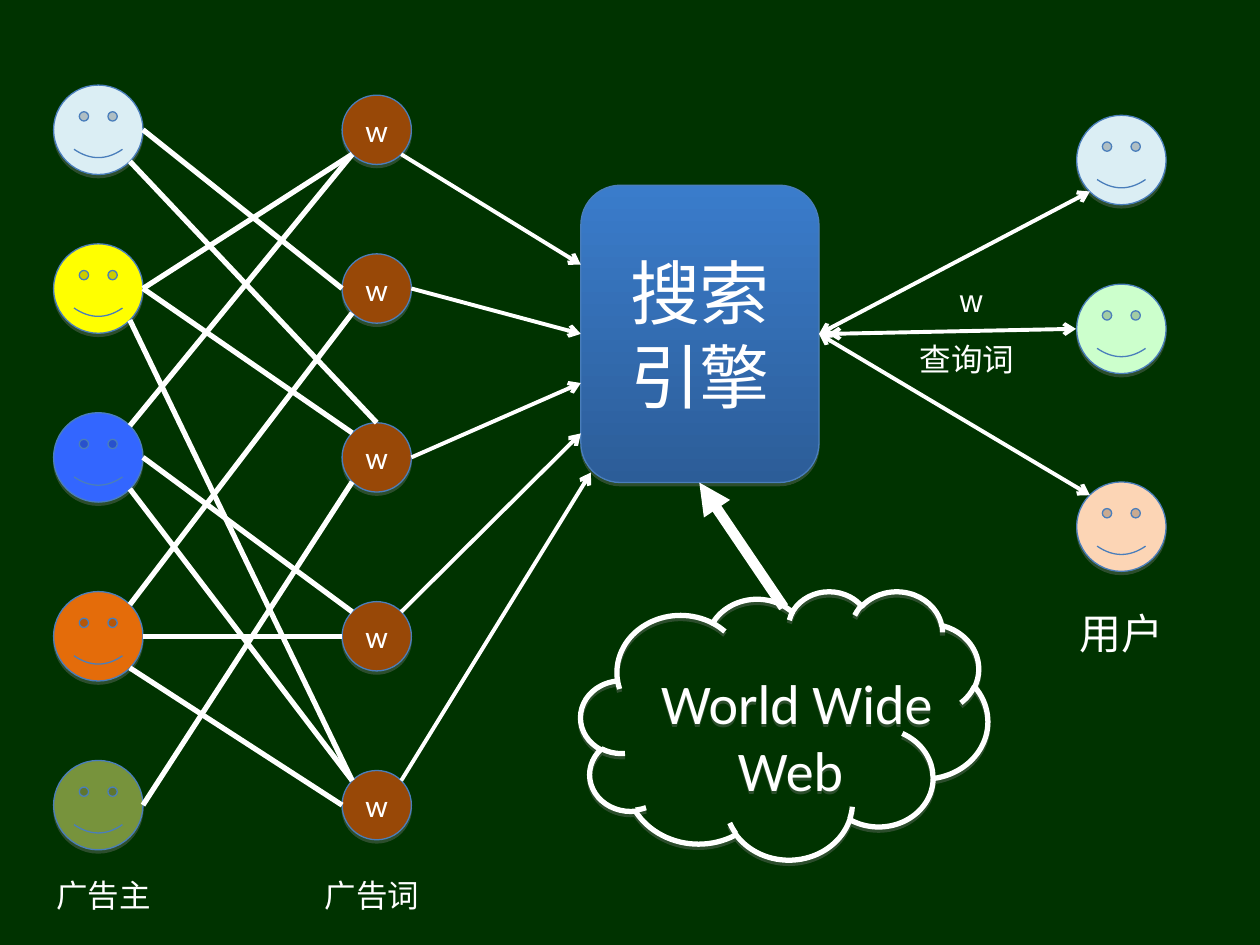
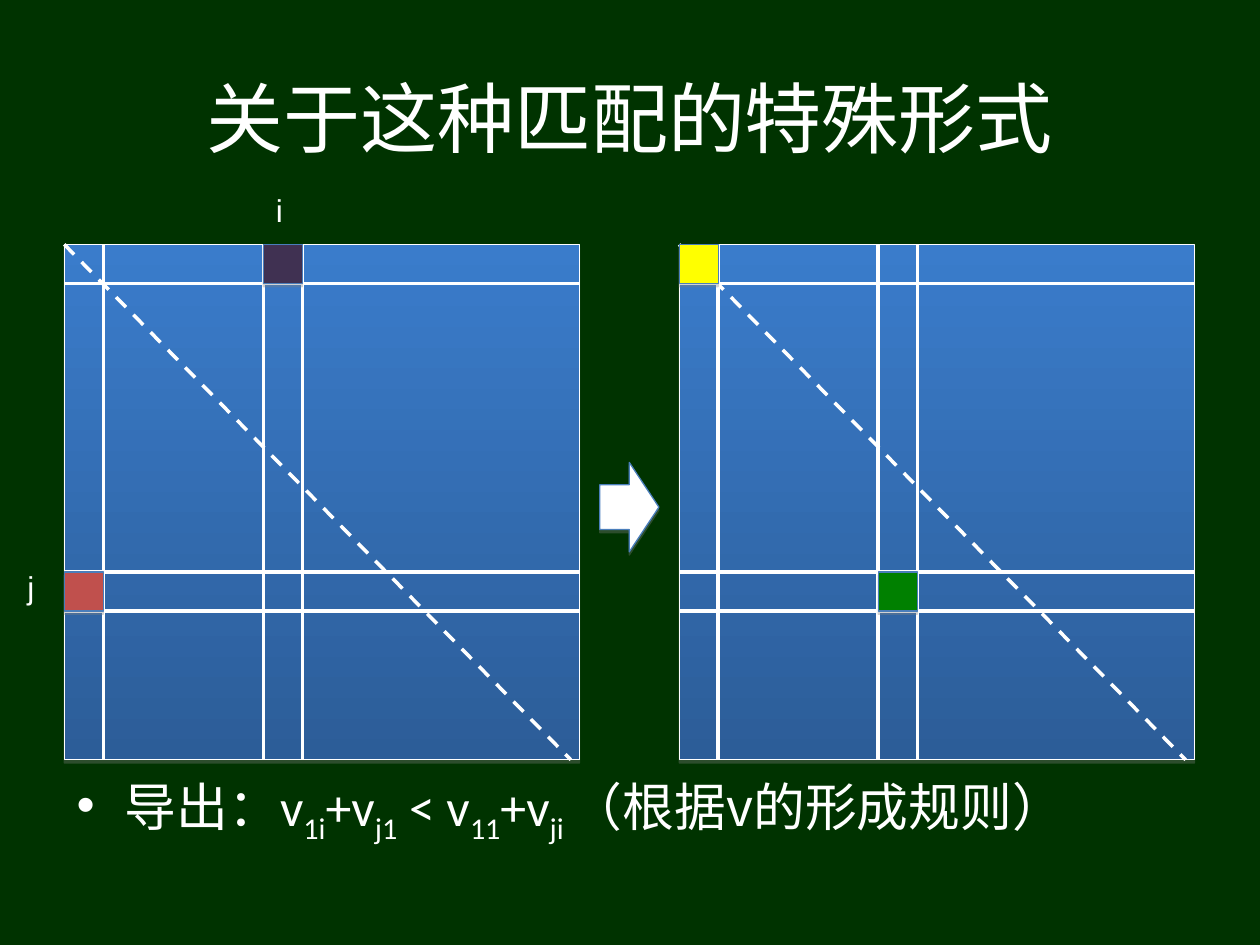
import math

import lxml.etree
import pptx
import pptx.dml.color
import pptx.enum.dml
import pptx.enum.shapes
import pptx.enum.text
import pptx.oxml
import pptx.oxml.ns
import pptx.util

Inches = pptx.util.Inches
Pt = pptx.util.Pt
RGB = pptx.dml.color.RGBColor.from_string
SHAPE = pptx.enum.shapes.MSO_SHAPE
ALIGN = pptx.enum.text.PP_ALIGN
ANCHOR = pptx.enum.text.MSO_ANCHOR
qn = pptx.oxml.ns.qn

COLORS = {
    "background": "003300", "white": "FFFFFF", "outline": "4A7EBB",
    "gradient_top": "3A7CCB", "gradient_bottom": "2C5D98", "shadow": "808080",
    "pale_blue": "DBEEF4", "yellow": "FFFF00", "blue": "3366FF",
    "orange": "E46C0A", "olive": "77933C", "mint": "CCFFCC", "peach": "FCD5B5",
    "brown": "984807", "purple": "403152", "red": "C0504D", "green": "008000",
}
LATIN, CJK, LABEL = "Calibri", "Noto Sans CJK SC", "Arial"


def add_box(slide, at, text="", kind=None, fill=None, outline="outline", weight=0.75,
            size=18, font=CJK, align=None, anchor=None, margins=None, bullet=None, spacing=None):
    """Add a preset shape, or a text box if kind is None.

    text is a string or a list of (string, font, baseline percent) runs;
    fill is a colour name, "gradient" or None.
    """
    at = [Inches(length) for length in at]
    if kind is None:
        box = slide.shapes.add_textbox(*at)
    else:
        box = slide.shapes.add_shape(kind, *at)
        if fill == "gradient":
            box.fill.gradient()
            box.fill.gradient_angle = 270
            for stop, name in zip(box.fill.gradient_stops, ("gradient_top", "gradient_bottom")):
                stop.color.rgb = RGB(COLORS[name])
        elif fill:
            box.fill.solid()
            box.fill.fore_color.rgb = RGB(COLORS[fill])
        else:
            box.fill.background()
        box.line.color.rgb = RGB(COLORS[outline])
        box.line.width = Pt(weight)
        box.shadow.inherit = False
        effects = box.element.spPr.find(qn("a:effectLst"))
        shadow = lxml.etree.SubElement(effects, qn("a:outerShdw"), blurRad="0",
                                       dist=str(Pt(1.8)), dir="5400000", rotWithShape="0")
        shade = lxml.etree.SubElement(shadow, qn("a:srgbClr"), val=COLORS["shadow"])
        lxml.etree.SubElement(shade, qn("a:alpha"), val="35000")
    if not text:
        return

    frame = box.text_frame
    frame.word_wrap = True
    frame.vertical_anchor = anchor or (ANCHOR.MIDDLE if kind else ANCHOR.TOP)
    if margins:
        (frame.margin_left, frame.margin_top,
         frame.margin_right, frame.margin_bottom) = [Inches(m) for m in margins]
    paragraph = frame.paragraphs[0]
    paragraph.alignment = align or (ALIGN.CENTER if kind else ALIGN.LEFT)
    if spacing:
        paragraph.line_spacing = spacing
    if bullet:
        properties = paragraph._p.get_or_add_pPr()
        properties.set("marL", str(Inches(0.38)))
        properties.set("indent", str(Inches(-0.38)))
        lxml.etree.SubElement(properties, qn("a:buFont"), typeface=LABEL)
        lxml.etree.SubElement(properties, qn("a:buChar"), char=bullet)
    for words, typeface, baseline in [(text, font, 0)] if isinstance(text, str) else text:
        run = paragraph.add_run()
        run.text = words
        run.font.size = Pt(size)
        run.font.color.rgb = RGB(COLORS["white"])
        run.font.name = typeface
        lxml.etree.SubElement(run.font._element, qn("a:ea"), typeface=CJK)
        if baseline:
            run.font._element.set("baseline", str(baseline * 1000))


def add_line(slide, start, end, weight, dash=False, head=None, tail=None):
    """Add a white straight line; head and tail name the arrowheads at start and end."""
    line = slide.shapes.add_connector(pptx.enum.shapes.MSO_CONNECTOR.STRAIGHT,
                                      *[Inches(length) for length in (*start, *end)])
    line.line.color.rgb = RGB(COLORS["white"])
    line.line.width = Pt(weight)
    if dash:
        line.line.dash_style = pptx.enum.dml.MSO_LINE.DASH
    for tag, arrow in (("a:headEnd", head), ("a:tailEnd", tail)):
        if arrow:
            lxml.etree.SubElement(line.line._get_or_add_ln(), qn(tag), type=arrow)
    lxml.etree.SubElement(line.element.spPr, qn("a:effectLst"))


deck = pptx.Presentation()
deck.slide_width, deck.slide_height = Inches(10), Inches(7.5)
market, matching = [deck.slides.add_slide(deck.slide_layouts[6]) for _ in range(2)]
for slide in (market, matching):
    slide.background.fill.solid()
    slide.background.fill.fore_color.rgb = RGB(COLORS["background"])

# Slide 1: advertisers, keywords, search engine and users
FACE, KEYWORD = 0.71, 0.55
advertiser_x, keyword_x, user_x = 0.78, 2.99, 8.9
rows = [1.03, 2.29, 3.63, 5.05, 6.39]
advertiser_colors = ["pale_blue", "yellow", "blue", "orange", "olive"]
users = [(1.27, "pale_blue"), (2.61, "mint"), (4.18, "peach")]

faces = [(advertiser_x, y, color) for y, color in zip(rows, advertiser_colors)]
faces += [(user_x, y, color) for y, color in users]
for x, y, color in faces:
    add_box(market, (x - FACE / 2, y - FACE / 2, FACE, FACE), kind=SHAPE.SMILEY_FACE, fill=color)
for y in rows:
    add_box(market, (keyword_x - KEYWORD / 2, y - KEYWORD / 2, KEYWORD, KEYWORD), "w",
            kind=SHAPE.OVAL, fill="brown", font=LATIN)

# Points on the circles, by row and by angle clockwise from the right
advertiser_ports, keyword_ports = [
    {(row, angle): (x + diameter / 2 * math.cos(math.radians(angle)),
                    y + diameter / 2 * math.sin(math.radians(angle)))
     for row, y in enumerate(rows) for angle in range(0, 360, 45)}
    for x, diameter in ((advertiser_x, FACE), (keyword_x, KEYWORD))
]
bids = [
    ((0, 0), (1, 180)), ((3, 45), (4, 180)), ((3, 0), (3, 180)), ((1, 0), (2, 225)),
    ((4, 0), (2, 135)), ((1, 45), (4, 225)), ((1, 0), (0, 135)), ((2, 0), (3, 225)),
    ((2, 315), (0, 135)), ((0, 45), (2, 270)), ((3, 315), (1, 135)), ((2, 45), (4, 225)),
]
for advertiser, keyword in bids:
    add_line(market, advertiser_ports[advertiser], keyword_ports[keyword], 3)

add_box(market, (4.61, 1.47, 1.89, 2.36), "搜索引擎", kind=SHAPE.ROUNDED_RECTANGLE,
        fill="gradient", size=40)
add_box(market, (4.61, 4.69, 3.23, 2.13), "World Wide Web ", kind=SHAPE.CLOUD, outline="white",
        weight=3, size=32, font=LATIN, margins=(0, 0.26, -0.43, 0))

for query_start, user_port in [((6.5, 2.65), (8.65, 1.52)), ((6.57, 2.65), (8.54, 2.61)),
                               ((6.5, 2.65), (8.65, 3.93))]:
    add_line(market, query_start, user_port, 2.25, head="arrow", tail="arrow")
for keyword, engine_port in [((0, 45), (4.61, 2.1)), ((1, 0), (4.61, 2.65)),
                             ((2, 0), (4.61, 3.04)), ((3, 315), (4.61, 3.44)),
                             ((4, 315), (4.69, 3.75))]:
    add_line(market, keyword_ports[keyword], engine_port, 2.25, tail="arrow")
add_line(market, (6.22, 4.82), (5.55, 3.83), 6, tail="triangle")

add_box(market, (7.52, 2.18, 0.39, 0.4), "w", font=LABEL)
for caption, left, top in [("广告主", 0.35, 6.9), ("广告词", 2.48, 6.9), ("查询词", 7.2, 2.65)]:
    add_box(market, (left, top, 1.1, 0.4), caption)
add_box(market, (8.47, 4.77, 0.94, 0.5), "用户", size=24)

# Slide 2: two matrices with marked cells
MATRIX, CELL = 4.09, 0.31
matrix_top, before_left, after_left = 1.94, 0.51, 5.39
column_i, row_j = 1.58, 2.6

add_box(matching, (0.5, 0.3, 9, 1.25), "关于这种匹配的特殊形式", size=44,
        align=ALIGN.CENTER, anchor=ANCHOR.MIDDLE)
inequality = [
    ("导出", CJK, 0), ("：v", LATIN, 0), ("1i", LATIN, -25), ("+v", LATIN, 0),
    ("j1", LATIN, -25), (" < v", LATIN, 0), ("11", LATIN, -25), ("+v", LATIN, 0),
    ("ji ", LATIN, -25), ("（", LATIN, 0), ("根据v的形成规则", CJK, 0), ("）", LATIN, 0),
]
add_box(matching, (0.51, 6.11, 9, 0.98), inequality, size=29.6, bullet="•", spacing=0.9)

for left in (before_left, after_left):
    right, bottom = left + MATRIX, matrix_top + MATRIX
    add_box(matching, (left, matrix_top, MATRIX, MATRIX), kind=SHAPE.RECTANGLE,
            fill="gradient", outline="white")
    for offset in (CELL, row_j, row_j + CELL):
        add_line(matching, (left, matrix_top + offset), (right, matrix_top + offset), 2)
    for offset in (CELL, column_i, column_i + CELL):
        add_line(matching, (left + offset, matrix_top), (left + offset, bottom), 2)
    add_line(matching, (left, matrix_top), (left + 4.02, bottom), 2, dash=True)

for left, column, row, color in [(after_left, 0, 0, "yellow"), (before_left, column_i, 0, "purple"),
                                 (before_left, 0, row_j, "red"),
                                 (after_left, column_i, row_j, "green")]:
    add_box(matching, (left + column, matrix_top + row, CELL, CELL),
            kind=SHAPE.RECTANGLE, fill=color)
add_box(matching, (4.76, 3.67, 0.47, 0.71), kind=SHAPE.RIGHT_ARROW, fill="white")
add_box(matching, (2.09, 1.47, 0.55, 0.4), "i", font=LABEL)
add_box(matching, (0.12, 4.46, 0.47, 0.4), "j", font=LABEL)

deck.save("out.pptx")
